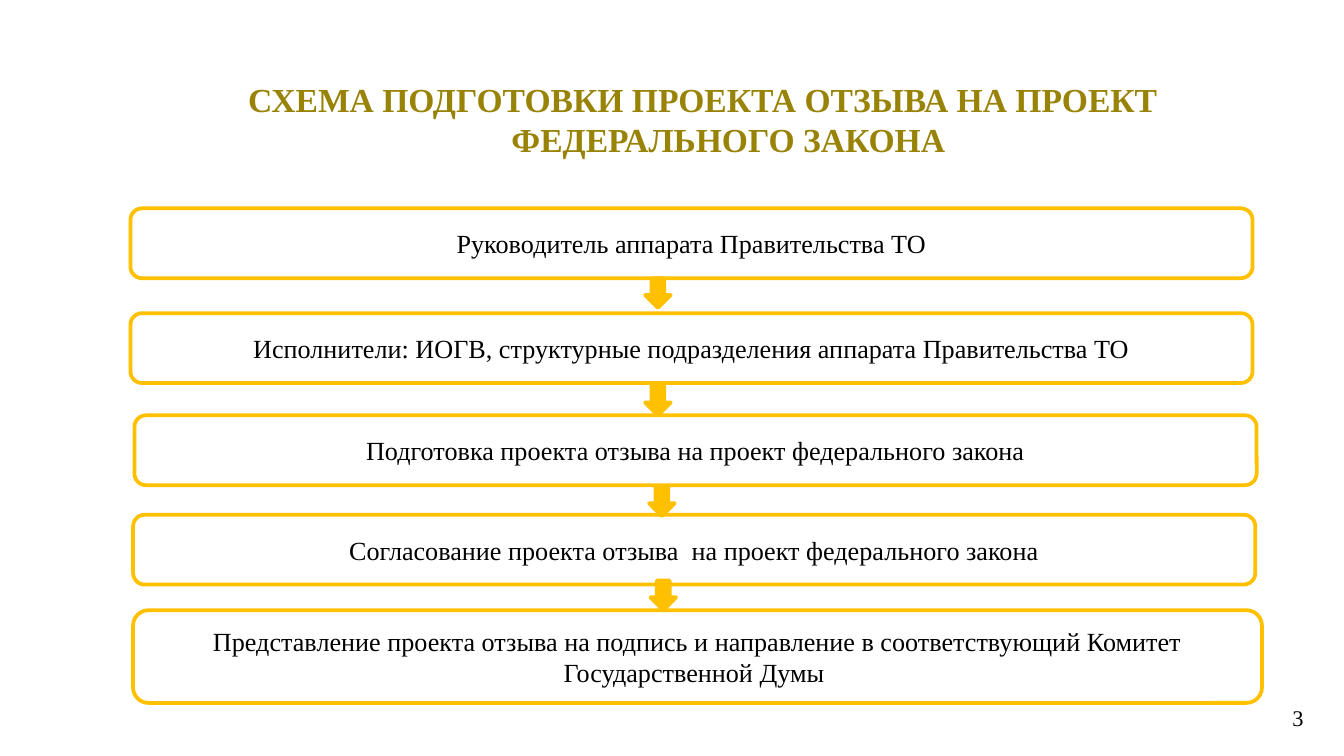
from dataclasses import dataclass

import pptx
import pptx.dml.color
import pptx.enum.shapes
import pptx.enum.text
import pptx.util

Inches = pptx.util.Inches
Pt = pptx.util.Pt
RGBColor = pptx.dml.color.RGBColor
Shape = pptx.enum.shapes.MSO_SHAPE
Align = pptx.enum.text.PP_ALIGN
Anchor = pptx.enum.text.MSO_ANCHOR

GOLD = RGBColor(0xFF, 0xC0, 0x00)
OLIVE = RGBColor(0x99, 0x83, 0x07)
BLACK = RGBColor(0x00, 0x00, 0x00)

SLIDE_WIDTH = 10
FRAME_FORMAT = {
    "word_wrap": True,
    "margin_left": Inches(0.07),
    "margin_right": Inches(0.07),
    "margin_top": Inches(0.04),
    "margin_bottom": Inches(0.04),
}


@dataclass
class Step:
    text: str
    left: float
    top: float
    width: float = 8.35
    height: float = 0.52


@dataclass
class Arrow:
    left: float
    top: float
    width: float = 0.19
    height: float = 0.22


STEPS = [
    Step("Руководитель аппарата Правительства ТО", 0.97, 1.55),
    Step("Исполнители: ИОГВ, структурные подразделения аппарата Правительства ТО", 0.97, 2.33),
    Step("Подготовка проекта отзыва на проект федерального закона", 1.0, 3.09),
    Step("Согласование проекта отзыва  на проект федерального закона", 0.99, 3.83),
    Step("Представление проекта отзыва на подпись и направление "
         "в соответствующий Комитет Государственной Думы ", 0.99, 4.54, 8.4, 0.69),
]
ARROWS = [Arrow(4.8, 2.07), Arrow(4.8, 2.87), Arrow(4.83, 3.62), Arrow(4.84, 4.32)]


def apply_format(target, values: dict) -> None:
    for name, value in values.items():
        setattr(target, name, value)


def write_text(box, text: str, size: float, color: RGBColor = BLACK, bold: bool = False,
               align=Align.CENTER, anchor=Anchor.MIDDLE):
    frame = box.text_frame
    apply_format(frame, {**FRAME_FORMAT, "vertical_anchor": anchor})
    para = frame.paragraphs[0]
    para.alignment = align
    span = para.add_run()
    span.text = text
    apply_format(span.font, {"name": "Times New Roman", "size": Pt(size), "bold": bold})
    span.font.color.rgb = color
    return para


def add_gold_shape(page, kind, part: Step | Arrow):
    shape = page.shapes.add_shape(kind, Inches(part.left), Inches(part.top),
                                  Inches(part.width), Inches(part.height))
    shape.shadow.inherit = False
    shape.line.color.rgb = GOLD
    shape.line.width = Pt(2)
    return shape


def add_step(page, step: Step) -> None:
    box = add_gold_shape(page, Shape.ROUNDED_RECTANGLE, step)
    box.fill.background()
    write_text(box, step.text, 14)


def add_arrow(page, arrow: Arrow) -> None:
    shape = add_gold_shape(page, Shape.DOWN_ARROW, arrow)
    shape.fill.solid()
    shape.fill.fore_color.rgb = GOLD


# Widescreen deck, 16:9
deck = pptx.Presentation()
deck.slide_width = Inches(SLIDE_WIDTH)
deck.slide_height = Inches(SLIDE_WIDTH * 9 / 16)
page = deck.slides.add_slide(deck.slide_layouts[5])

# Title with a hanging first line
title = page.shapes.title
apply_format(title, {"left": Inches(0.9), "top": Inches(0.4),
                     "width": Inches(8.66), "height": Inches(0.97)})
heading = write_text(title, "СХЕМА ПОДГОТОВКИ ПРОЕКТА ОТЗЫВА НА ПРОЕКТ ФЕДЕРАЛЬНОГО ЗАКОНА",
                     18, OLIVE, bold=True)
heading_format = heading._p.get_or_add_pPr()
heading_format.set("marL", str(Inches(0.38)))
heading_format.set("indent", str(-Inches(0.38)))

# Page number
number = page.shapes.add_textbox(Inches(9.54), Inches(5.2), Inches(0.23), Inches(0.34))
write_text(number, "3", 12, align=Align.RIGHT, anchor=Anchor.TOP)

# Steps and the arrows between them
for step in STEPS:
    add_step(page, step)
for arrow in ARROWS:
    add_arrow(page, arrow)

deck.save("out.pptx")
